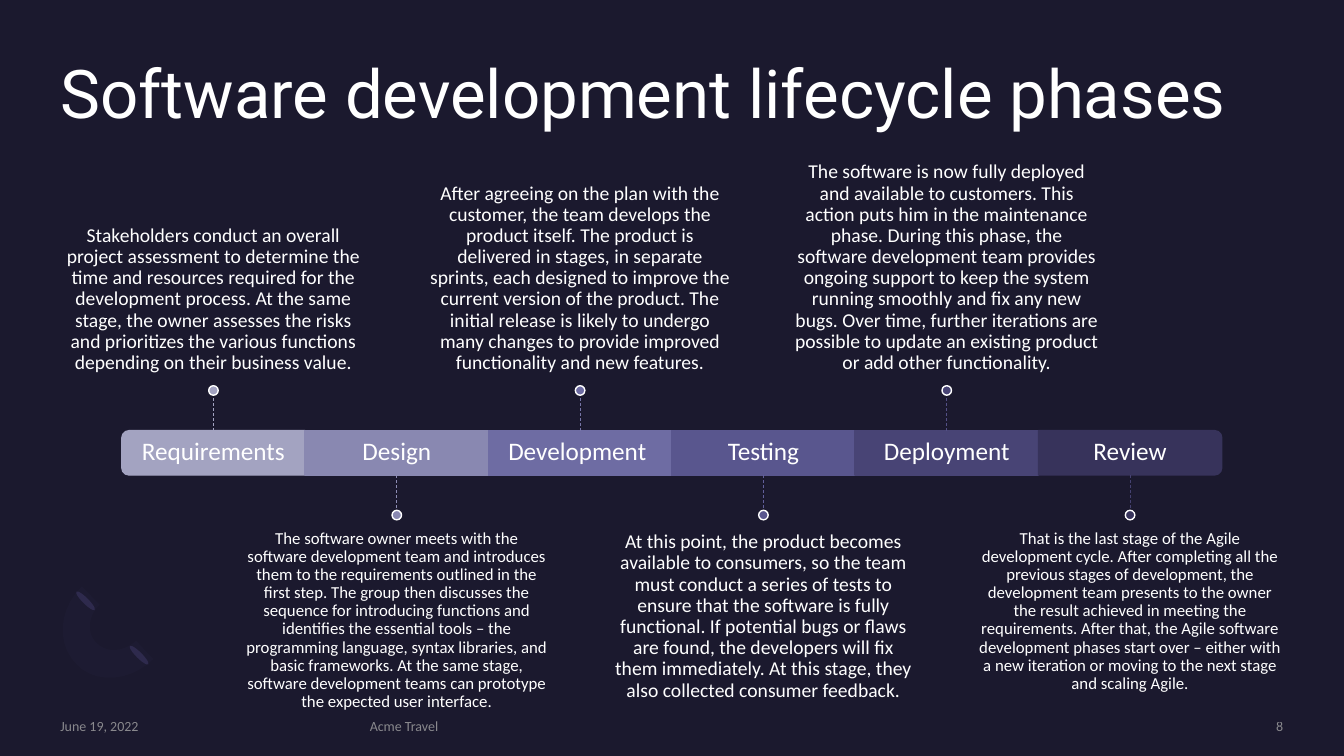
from lxml import etree
from pptx import Presentation
from pptx.dml.color import RGBColor
from pptx.enum.dml import MSO_LINE
from pptx.enum.shapes import MSO_CONNECTOR, MSO_SHAPE
from pptx.enum.text import MSO_ANCHOR as Anchor, PP_ALIGN as Align
from pptx.oxml.ns import qn
from pptx.util import Cm, Pt

BACKGROUND = RGBColor(0x1B, 0x19, 0x2E)
WHITE = RGBColor(0xFF, 0xFF, 0xFF)
FOOTER_GREY = RGBColor(0xA6, 0xA6, 0xA6)
LEAF = RGBColor(0x2C, 0x28, 0x4A)
ARC = RGBColor(0x77, 0x71, 0xB2)

# name, bar colour, stem colour, text size, description
PHASES = [
    ("Requirements", RGBColor(0xA3, 0xA3, 0xC1), RGBColor(0xA3, 0xA3, 0xC1), 14,
     "Stakeholders conduct an overall project assessment to determine the time and "
     "resources required for the development process. At the same stage, the owner "
     "assesses the risks and prioritizes the various functions depending on their "
     "business value."),
    ("Design", RGBColor(0x89, 0x88, 0xB1), RGBColor(0x8D, 0x8C, 0xB4), 12,
     "The software owner meets with the software development team and introduces them "
     "to the requirements outlined in the first step. The group then discusses the "
     "sequence for introducing functions and identifies the essential tools – the "
     "programming language, syntax libraries, and basic frameworks. At the same stage, "
     "software development teams can prototype the expected user interface."),
    ("Development ", RGBColor(0x6E, 0x6C, 0xA3), RGBColor(0x77, 0x75, 0xA8), 14,
     "After agreeing on the plan with the customer, the team develops the product "
     "itself. The product is delivered in stages, in separate sprints, each designed "
     "to improve the current version of the product. The initial release is likely to "
     "undergo many changes to provide improved functionality and new features."),
    ("Testing", RGBColor(0x59, 0x56, 0x8E), RGBColor(0x62, 0x5F, 0x9A), 14,
     "At this point, the product becomes available to consumers, so the team must "
     "conduct a series of tests to ensure that the software is fully functional. If "
     "potential bugs or flaws are found, the developers will fix them immediately. At "
     "this stage, they also collected consumer feedback."),
    ("Deployment", RGBColor(0x48, 0x44, 0x75), RGBColor(0x53, 0x50, 0x86), 14,
     "The software is now fully deployed and available to customers. This action puts "
     "him in the maintenance phase. During this phase, the software development team "
     "provides ongoing support to keep the system running smoothly and fix any new "
     "bugs. Over time, further iterations are possible to update an existing product "
     "or add other functionality."),
    ("Review", RGBColor(0x37, 0x33, 0x5B), RGBColor(0x45, 0x41, 0x71), 12,
     "That is the last stage of the Agile development cycle. After completing all the "
     "previous stages of development, the development team presents to the owner the "
     "result achieved in meeting the requirements. After that, the Agile software "
     "development phases start over – either with a new iteration or moving to the "
     "next stage and scaling Agile."),
]

deck = Presentation()
deck.slide_width, deck.slide_height = Cm(33.87), Cm(19.05)
page = deck.slides.add_slide(deck.slide_layouts[6])
page.background.fill.solid()
page.background.fill.fore_color.rgb = BACKGROUND


def add_text(text, left, top, width, height, size, align=Align.LEFT, anchor=Anchor.TOP,
             font="Calibri", color=WHITE, inset_top=0, inset_bottom=0, spacing=0.9):
    box = page.shapes.add_textbox(Cm(left), Cm(top), Cm(width), Cm(height))
    frame = box.text_frame
    frame.word_wrap = True
    frame.vertical_anchor = anchor
    frame.margin_left = frame.margin_right = 0
    frame.margin_top, frame.margin_bottom = Cm(inset_top), Cm(inset_bottom)
    frame.text = text
    para = frame.paragraphs[0]
    para.alignment, para.line_spacing = align, spacing
    span = para.runs[0]
    span.font.name, span.font.size = font, Pt(size)
    span.font.color.rgb = color
    return span


def add_filled(kind, left, top, width, height, color, line_color=None, rotation=0):
    shape = page.shapes.add_shape(kind, Cm(left), Cm(top), Cm(width), Cm(height))
    shape.shadow.inherit = False
    shape.rotation = rotation
    shape.fill.solid()
    shape.fill.fore_color.rgb = color
    if line_color is None:
        shape.line.fill.background()
    else:
        shape.line.color.rgb = line_color
        shape.line.width = Pt(1)


# Corner ornament: two leaves and a very faint arc between them
for left, top in [(3.43, 16.18), (2.08, 14.81)]:
    add_filled(MSO_SHAPE.OVAL, left, top, 0.15, 0.66, LEAF, rotation=135)

ARC_CURVES = [
    [(1.93, 16.74), (1.42, 16.23), (1.47, 15.37), (2.06, 14.78)],
    [(2.51, 15.24), (2.21, 15.52), (2.18, 15.98), (2.44, 16.21)],
    [(2.44, 16.21), (2.69, 16.46), (3.12, 16.43), (3.43, 16.15)],
    [(3.86, 16.61), (3.3, 17.17), (2.41, 17.25), (1.93, 16.74)],
]
STEPS = 10
arc_points = []
for curve in ARC_CURVES:
    for step in range(STEPS + 1):
        t = step / STEPS
        weights = [(1 - t) ** 3, 3 * t * (1 - t) ** 2, 3 * t ** 2 * (1 - t), t ** 3]
        arc_points.append([Cm(sum(w * point[axis] for w, point in zip(weights, curve)))
                           for axis in (0, 1)])
builder = page.shapes.build_freeform(*arc_points[0])
builder.add_line_segments(arc_points[1:])
arc = builder.convert_to_shape()
arc.shadow.inherit = False
arc.line.fill.background()
arc.fill.solid()
arc.fill.fore_color.rgb = ARC
arc_color = arc._element.spPr.find(qn("a:solidFill"))[0]
etree.SubElement(arc_color, qn("a:alpha")).set("val", "3000")

add_text("Software development lifecycle phases", 1.52, 1.52, 30.81, 3.71, 48, font="Roboto")

# Timeline: descriptions alternate above and below the bar
BAR_LEFT, BAR_TOP, BAR_HEIGHT, STEP = 3.07, 10.85, 1.12, 4.62
BAR_BOTTOM = BAR_TOP + BAR_HEIGHT
STEM, DOT = 0.89, 0.24
TEXT_WIDTH, TEXT_HEIGHT = 7.7, 3.86

for index, (name, color, stem_color, size, description) in enumerate(PHASES):
    left = BAR_LEFT + index * STEP
    center = left + STEP / 2
    above = index % 2 == 0

    if index in (0, len(PHASES) - 1):
        add_filled(MSO_SHAPE.ROUND_2_SAME_RECTANGLE, center - BAR_HEIGHT / 2,
                   BAR_TOP + BAR_HEIGHT / 2 - STEP / 2, BAR_HEIGHT, STEP,
                   color, color, rotation=270 if index == 0 else 90)
    else:
        add_filled(MSO_SHAPE.RECTANGLE, left, BAR_TOP, STEP, BAR_HEIGHT, color, color)
    add_text(name, left, BAR_TOP, STEP, BAR_HEIGHT, 18, Align.CENTER, Anchor.MIDDLE)

    if above:
        stem_start, stem_end = BAR_TOP, BAR_TOP - STEM
        dot_top = stem_end - DOT
        text_top, anchor, insets = dot_top - TEXT_HEIGHT, Anchor.BOTTOM, (0, 0.3)
    else:
        stem_start, stem_end = BAR_BOTTOM, BAR_BOTTOM + STEM
        dot_top = stem_end
        text_top, anchor = dot_top + DOT, Anchor.TOP
        insets = (0.3 if size == 14 else 0.25, 0)
    add_text(description, center - TEXT_WIDTH / 2, text_top, TEXT_WIDTH, TEXT_HEIGHT, size,
             Align.CENTER, anchor, inset_top=insets[0], inset_bottom=insets[1])

    stem = page.shapes.add_connector(MSO_CONNECTOR.STRAIGHT, Cm(center), Cm(stem_start),
                                     Cm(center), Cm(stem_end))
    stem.line.color.rgb = stem_color
    stem.line.width = Pt(0.5)
    stem.line.dash_style = MSO_LINE.DASH
    etree.SubElement(stem._element.spPr, qn("a:effectLst"))
    add_filled(MSO_SHAPE.OVAL, center - DOT / 2, dot_top, DOT, DOT, color, WHITE)

for text, left, width, align in [("June 19, 2022", 1.52, 7.32, Align.LEFT),
                                 ("8", 27.64, 4.7, Align.RIGHT),
                                 ("Acme Travel", 9.32, 17.73, Align.LEFT)]:
    span = add_text(text, left, 18.08, width, 0.43, 10, align, Anchor.MIDDLE,
                    color=FOOTER_GREY, spacing=1.0)
    span_color = span._r.rPr.find(qn("a:solidFill"))[0]
    etree.SubElement(span_color, qn("a:alpha")).set("val", "80000")

deck.save("out.pptx")
